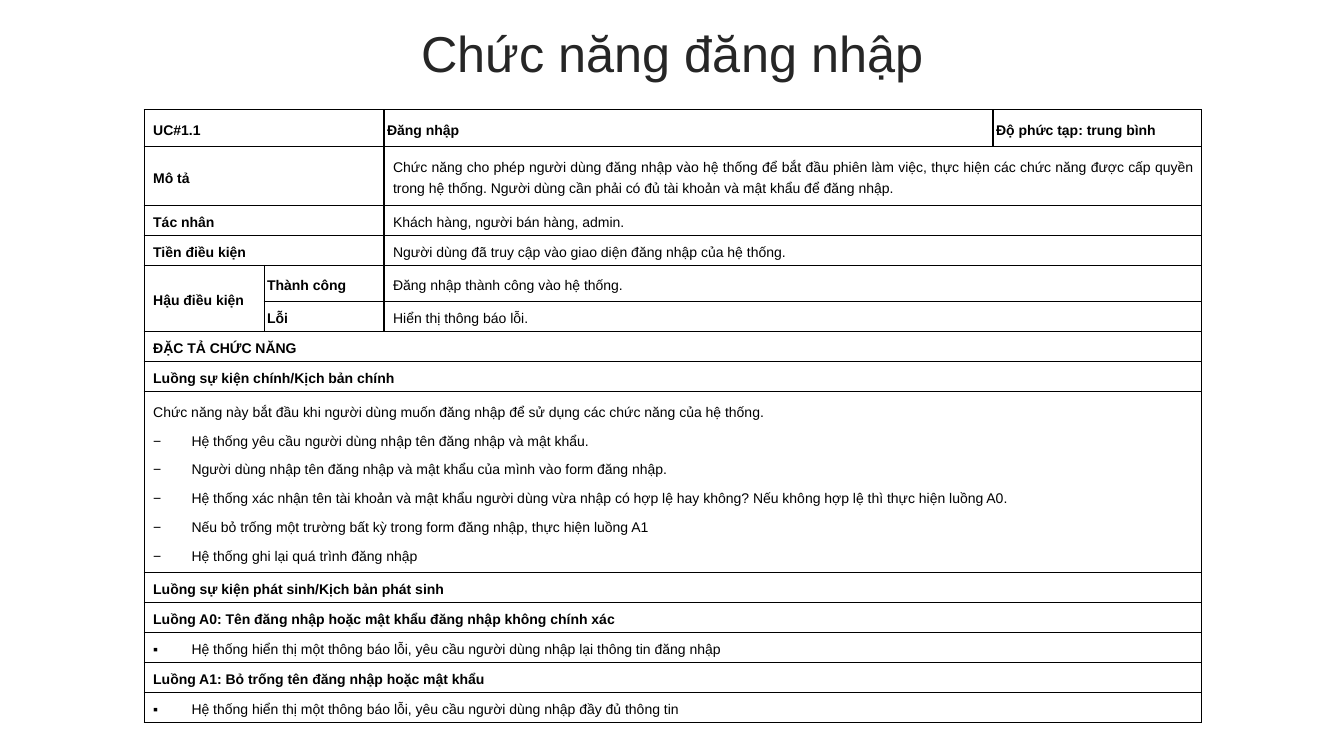
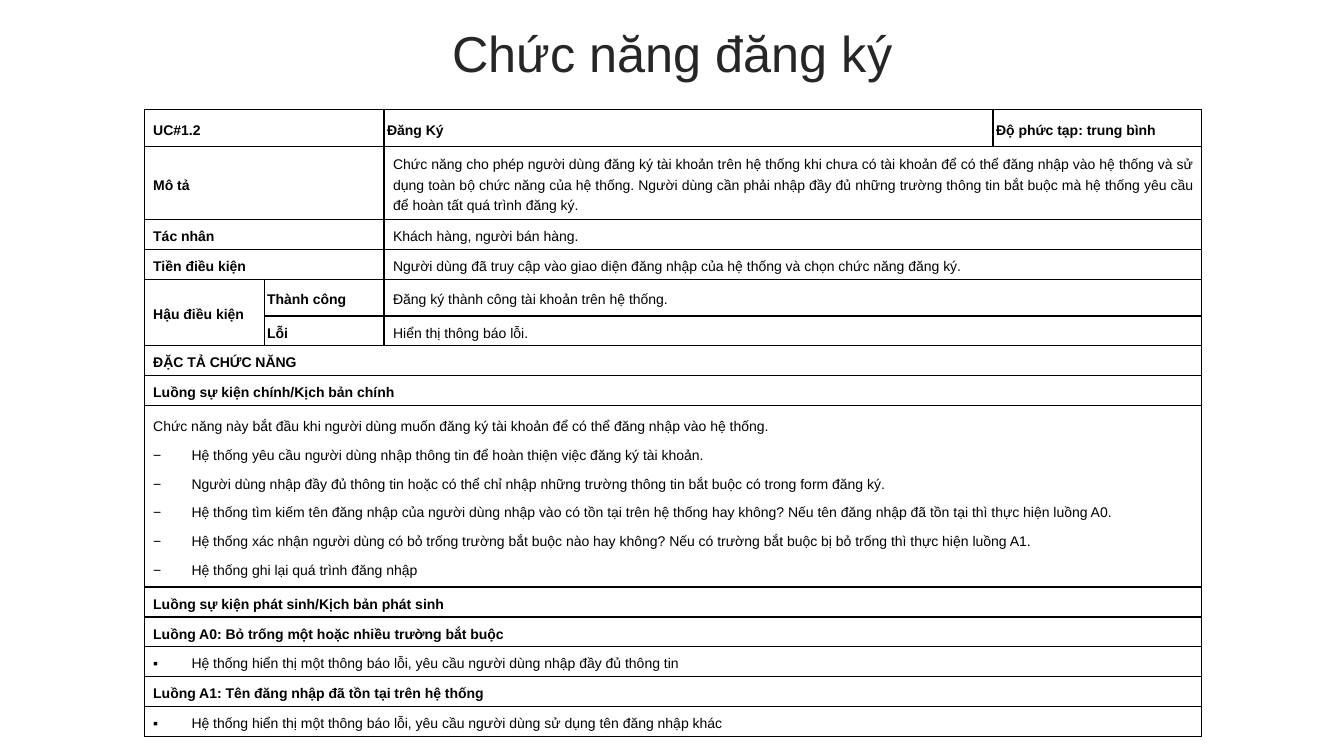
import pptx
import pptx.dml.color
import pptx.enum.text
import pptx.oxml
import pptx.oxml.ns
import pptx.util
from pptx.util import Inches

BLACK = pptx.dml.color.RGBColor(0x00, 0x00, 0x00)
WHITE = pptx.dml.color.RGBColor(0xFF, 0xFF, 0xFF)
TITLE_COLOR = pptx.dml.color.RGBColor(0x26, 0x26, 0x26)
FONT = "Arial"
ALIGN = pptx.enum.text.PP_ALIGN
MIDDLE = pptx.enum.text.MSO_ANCHOR.MIDDLE

COLS = [1.19, 1.19, 6.04, 2.07]
ROW, TALL_ROW, STEPS_ROW = 0.28, 0.36, 1.78
DASH, SQUARE = "−", "▪"

USE_CASES = [
    {
        "title": "Chức năng đăng nhập",
        "code": "UC#1.1",
        "name": "Đăng nhập",
        "desc_height": 0.59,
        "desc": "Chức năng cho phép người dùng đăng nhập vào hệ thống để bắt đầu phiên làm việc, "
                "thực hiện các chức năng được cấp quyền trong hệ thống. Người dùng cần phải có đủ "
                "tài khoản và mật khẩu để đăng nhập.",
        "actors": "Khách hàng, người bán hàng, admin.",
        "pre": "Người dùng đã truy cập vào giao diện đăng nhập của hệ thống.",
        "success": "Đăng nhập thành công vào hệ thống.",
        "intro": "Chức năng này bắt đầu khi người dùng muốn đăng nhập để sử dụng các chức năng "
                 "của hệ thống.",
        "steps": [
            "Hệ thống yêu cầu người dùng nhập tên đăng nhập và mật khẩu.",
            "Người dùng nhập tên đăng nhập và mật khẩu của mình vào form đăng nhập.",
            "Hệ thống xác nhận tên tài khoản và mật khẩu người dùng vừa nhập có hợp lệ hay không? "
            "Nếu không hợp lệ thì thực hiện luồng A0.",
            "Nếu bỏ trống một trường bất kỳ trong form đăng nhập, thực hiện luồng A1",
            "Hệ thống ghi lại quá trình đăng nhập",
        ],
        "flows": [
            ("Luồng A0: Tên đăng nhập hoặc mật khẩu đăng nhập không chính xác",
             "Hệ thống hiển thị một thông báo lỗi, yêu cầu người dùng nhập lại thông tin đăng nhập"),
            ("Luồng A1: Bỏ trống tên đăng nhập hoặc mật khẩu",
             "Hệ thống hiển thị một thông báo lỗi, yêu cầu người dùng nhập đầy đủ thông tin"),
        ],
    },
    {
        "title": "Chức năng đăng ký",
        "code": "UC#1.2",
        "name": "Đăng Ký",
        "desc_height": 0.73,
        "desc": "Chức năng cho phép người dùng đăng ký tài khoản trên hệ thống khi chưa có tài khoản "
                "để có thể đăng nhập vào hệ thống và sử dụng toàn bộ chức năng của hệ thống. Người "
                "dùng cần phải nhập đầy đủ những trường thông tin bắt buộc mà hệ thống yêu cầu để "
                "hoàn tất quá trình đăng ký.",
        "actors": "Khách hàng, người bán hàng.",
        "pre": "Người dùng đã truy cập vào giao diện đăng nhập của hệ thống và chọn chức năng đăng ký.",
        "success": "Đăng ký thành công tài khoản trên hệ thống.",
        "intro": "Chức năng này bắt đầu khi người dùng muốn đăng ký tài khoản để có thể đăng nhập "
                 "vào hệ thống.",
        "steps": [
            "Hệ thống yêu cầu người dùng nhập thông tin để hoàn thiện việc đăng ký tài khoản.",
            "Người dùng nhập đầy đủ thông tin hoặc có thể chỉ nhập những trường thông tin bắt buộc "
            "có trong form đăng ký.",
            "Hệ thống tìm kiếm tên đăng nhập của người dùng nhập vào có tồn tại trên hệ thống hay "
            "không? Nếu tên đăng nhập đã tồn tại thì thực hiện luồng A0.",
            "Hệ thống xác nhận người dùng có bỏ trống trường bắt buộc nào hay không? Nếu có trường "
            "bắt buộc bị bỏ trống thì thực hiện luồng A1.",
            "Hệ thống ghi lại quá trình đăng nhập",
        ],
        "flows": [
            ("Luồng A0: Bỏ trống một hoặc nhiều trường bắt buộc",
             "Hệ thống hiển thị một thông báo lỗi, yêu cầu người dùng nhập đầy đủ thông tin"),
            ("Luồng A1: Tên đăng nhập đã tồn tại trên hệ thống",
             "Hệ thống hiển thị một thông báo lỗi, yêu cầu người dùng sử dụng tên đăng nhập khác"),
        ],
    },
]


def add_text(p, text, size, color, align, spacing, bold=False):
    p.alignment = align
    p.line_spacing = spacing
    r = p.add_run()
    r.text = text
    r.font.name = FONT
    r.font.size = pptx.util.Pt(size)
    r.font.color.rgb = color
    r.font.bold = bold


def fill_cell(cell, lines, bold=False, bullets="", tight=False):
    """Write one paragraph per line; bullets holds the mark used from the last lines on."""
    cell.margin_left = cell.margin_right = Inches(0.03 if tight else 0.09)
    cell.margin_top = cell.margin_bottom = Inches(0 if tight else 0.04)
    tf = cell.text_frame
    for i, text in enumerate(lines):
        p = tf.paragraphs[0] if i == 0 else tf.add_paragraph()
        add_text(p, text, 10, BLACK, ALIGN.JUSTIFY, 1.3, bold)
        p.space_before = p.space_after = pptx.util.Pt(3)
        if bullets and (i > 0 or len(lines) == 1):
            pPr = p._p.get_or_add_pPr()
            pPr.set("marL", str(Inches(0.38)))
            pPr.set("indent", str(-Inches(0.38)))
            for tag, key, value in [("buFont", "typeface", FONT), ("buChar", "char", bullets)]:
                pPr.append(pptx.oxml.parse_xml(
                    f'<a:{tag} {pptx.oxml.ns.nsdecls("a")} {key}="{value}"/>'))


prs = pptx.Presentation()
prs.slide_width = Inches(13.33)
prs.slide_height = Inches(7.5)

for uc in USE_CASES:
    s = prs.slides.add_slide(prs.slide_layouts[6])
    s.background.fill.solid()
    s.background.fill.fore_color.rgb = WHITE

    # Title
    tf = s.shapes.add_textbox(Inches(0.34), Inches(0.16), Inches(12.66), Inches(0.79)).text_frame
    tf.word_wrap = True
    tf.vertical_anchor = MIDDLE
    p = tf.paragraphs[0]
    add_text(p, uc["title"], 36, TITLE_COLOR, ALIGN.CENTER, 0.9)
    p.space_before = pptx.util.Pt(10)

    # Table grid
    heights = ([TALL_ROW, uc["desc_height"], ROW, ROW, TALL_ROW] + [ROW] * 3
               + [STEPS_ROW] + [ROW] * (1 + 2 * len(uc["flows"])))
    table = s.shapes.add_table(len(heights), len(COLS), Inches(1.43), Inches(1.09),
                               Inches(sum(COLS)), Inches(sum(heights))).table
    table.first_row = table.horz_banding = False
    for column, width in zip(table.columns, COLS):
        column.width = Inches(width)
    for row, height in zip(table.rows, heights):
        row.height = Inches(height)

    # Cell fills and borders
    for cell in table.iter_cells():
        cell.fill.background()
        cell.vertical_anchor = MIDDLE
        tcPr = cell._tc.get_or_add_tcPr()
        for i, side in enumerate("LRTB"):
            tcPr.insert(i, pptx.oxml.parse_xml(
                f'<a:ln{side} {pptx.oxml.ns.nsdecls("a")} w="12700"><a:solidFill>'
                f'<a:srgbClr val="{BLACK}"/></a:solidFill></a:ln{side}>'))

    # Header row
    table.cell(0, 0).merge(table.cell(0, 1))
    fill_cell(table.cell(0, 0), [uc["code"]], bold=True)
    fill_cell(table.cell(0, 2), [uc["name"]], bold=True, tight=True)
    fill_cell(table.cell(0, 3), ["Độ phức tạp: trung bình"], bold=True, tight=True)

    # Label and value rows
    labels = ["Mô tả", "Tác nhân", "Tiền điều kiện", "Thành công", "Lỗi"]
    values = [uc["desc"], uc["actors"], uc["pre"], uc["success"], "Hiển thị thông báo lỗi."]
    for i, (label, value) in enumerate(zip(labels, values), start=1):
        outcome = i > 3
        if not outcome:
            table.cell(i, 0).merge(table.cell(i, 1))
        fill_cell(table.cell(i, int(outcome)), [label], bold=True, tight=outcome)
        table.cell(i, 2).merge(table.cell(i, 3))
        fill_cell(table.cell(i, 2), [value])
    table.cell(4, 0).merge(table.cell(5, 0))
    fill_cell(table.cell(4, 0), ["Hậu điều kiện"], bold=True)

    # Full-width rows: lines, bold, bullet mark
    wide_rows = [
        (["ĐẶC TẢ CHỨC NĂNG"], True, ""),
        (["Luồng sự kiện chính/Kịch bản chính"], True, ""),
        ([uc["intro"]] + uc["steps"], False, DASH),
        (["Luồng sự kiện phát sinh/Kịch bản phát sinh"], True, ""),
    ]
    for heading, response in uc["flows"]:
        wide_rows += [([heading], True, ""), ([response], False, SQUARE)]
    for i, (lines, bold, bullets) in enumerate(wide_rows, start=6):
        table.cell(i, 0).merge(table.cell(i, 3))
        fill_cell(table.cell(i, 0), lines, bold, bullets)

prs.save("out.pptx")
